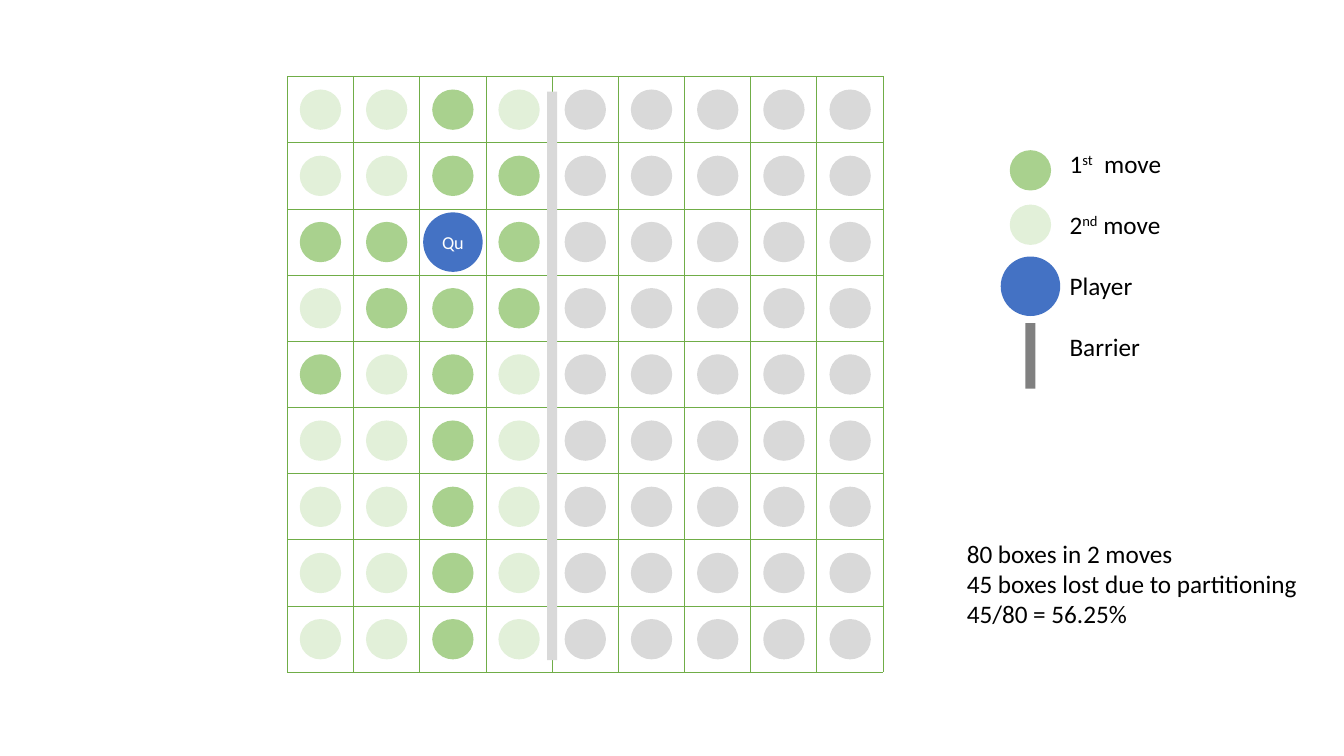
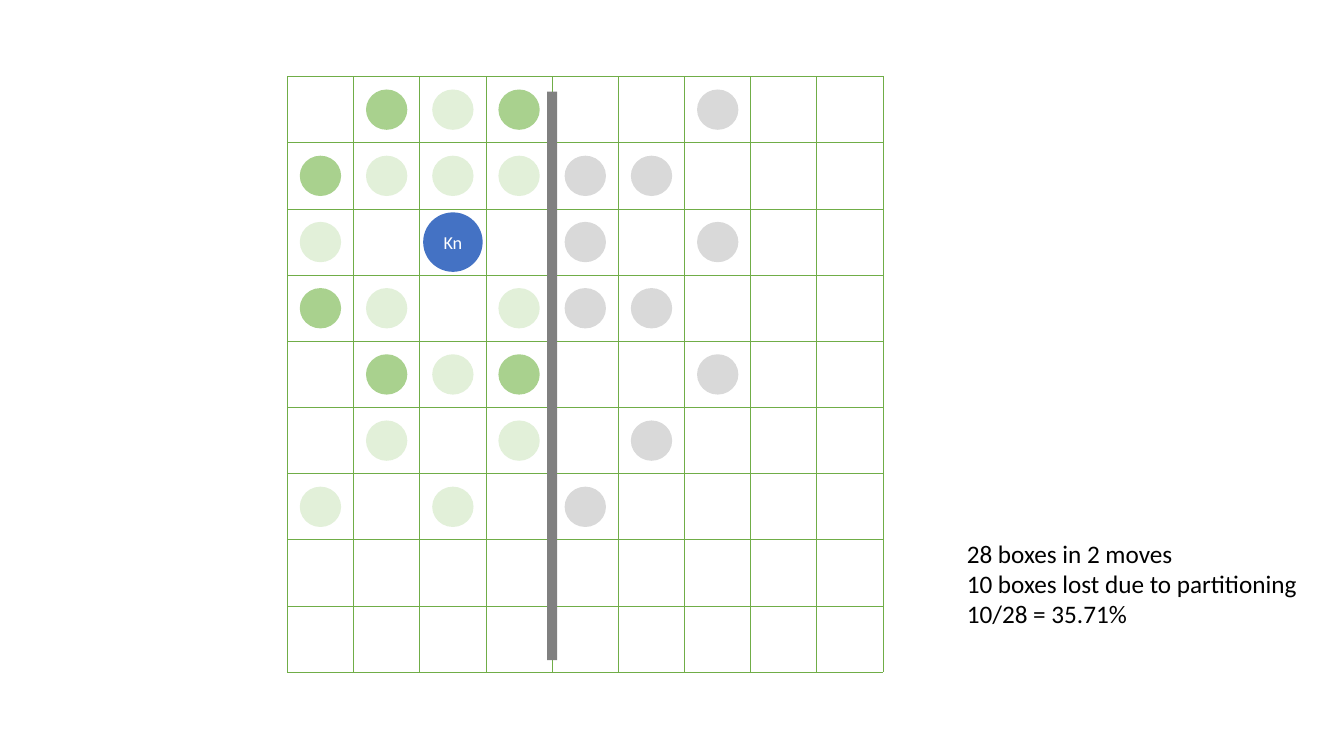
from dataclasses import dataclass
from typing import Optional

from lxml import etree
from pptx import Presentation
from pptx.dml.color import RGBColor
from pptx.enum.shapes import MSO_SHAPE as Preset
from pptx.enum.text import MSO_ANCHOR as Anchor, PP_ALIGN as Align
from pptx.oxml.ns import qn
from pptx.shapes.autoshape import Shape
from pptx.slide import Slide
from pptx.table import _Cell as Cell
from pptx.text.text import _Paragraph as Paragraph
from pptx.util import Inches, Pt

FIRST_MOVE = RGBColor(0xA9, 0xD1, 0x8E)
SECOND_MOVE = RGBColor(0xE2, 0xF0, 0xD9)
LOST = RGBColor(0xD9, 0xD9, 0xD9)
PLAYER = RGBColor(0x44, 0x72, 0xC4)
BARRIER = RGBColor(0x80, 0x80, 0x80)
GRID_LINE = RGBColor(0x70, 0xAD, 0x47)
BLACK = RGBColor(0x00, 0x00, 0x00)
WHITE = RGBColor(0xFF, 0xFF, 0xFF)

FONT = "Calibri"
BOARD_LEFT, BOARD_TOP, BOARD_SIZE = 2.85, 0.76, 5.91
CELL_COUNT = 9
CELL_SIZE = BOARD_SIZE / CELL_COUNT


@dataclass(frozen=True)
class Marker:
    color: RGBColor
    width: float = 0.41
    height: float = 0.4
    preset: Preset = Preset.OVAL


@dataclass(frozen=True)
class LegendEntry:
    marker: Marker
    center_y: float
    label: str
    ordinal: str = ""
    rest: str = ""


@dataclass(frozen=True)
class Board:
    piece: str
    rows: tuple[str, ...]
    barrier_color: RGBColor
    summary: tuple[str, ...]
    legend: tuple[LegendEntry, ...] = ()


MARKERS = {
    "1": Marker(FIRST_MOVE),
    "2": Marker(SECOND_MOVE),
    "x": Marker(LOST),
    "P": Marker(PLAYER, 0.59, 0.59),
}

LEGEND = (
    LegendEntry(MARKERS["1"], 1.69, "1", "st", "  move"),
    LegendEntry(MARKERS["2"], 2.23, "2", "nd", " move"),
    LegendEntry(MARKERS["P"], 2.84, "Player"),
    LegendEntry(Marker(BARRIER, 0.1, 0.65, Preset.RECTANGLE), 3.53, "Barrier"),
)

BOARDS = (
    Board(
        "Qu",
        ("2212xxxxx", "2211xxxxx", "11P1xxxxx", "2111xxxxx", "1212xxxxx")
        + ("2212xxxxx",) * 4,
        LOST,
        ("80 boxes in 2 moves", "45 boxes lost due to partitioning", "45/80 = 56.25%"),
        LEGEND,
    ),
    Board(
        "Kn",
        (".121..x..", "1222xx...", "2.P.x.x..", "12.2xx...", ".121..x..",
         ".2.2.x...", "2.2.x...."),
        BARRIER,
        ("28 boxes in 2 moves", "10 boxes lost due to partitioning", "10/28 = 35.71%"),
    ),
)


def style_paragraph(paragraph: Paragraph, size: float, color: RGBColor) -> None:
    paragraph.font.name = FONT
    paragraph.font.size = Pt(size)
    paragraph.font.color.rgb = color


def add_marker(slide: Slide, marker: Marker, center_x: float, center_y: float,
               text: Optional[str] = None) -> Shape:
    shape = slide.shapes.add_shape(
        marker.preset,
        Inches(center_x - marker.width / 2), Inches(center_y - marker.height / 2),
        Inches(marker.width), Inches(marker.height),
    )
    shape.shadow.inherit = False
    shape.fill.solid()
    shape.fill.fore_color.rgb = marker.color
    shape.line.fill.background()
    if text:
        frame = shape.text_frame
        frame.word_wrap = False
        frame.vertical_anchor = Anchor.MIDDLE
        paragraph = frame.paragraphs[0]
        paragraph.text = text
        paragraph.alignment = Align.CENTER
        style_paragraph(paragraph, 13, WHITE)
    return shape


def outline_cell(cell: Cell) -> None:
    properties = cell._tc.get_or_add_tcPr()
    for side in ("a:lnL", "a:lnR", "a:lnT", "a:lnB"):
        line = etree.SubElement(properties, qn(side), w=str(Pt(0.5)))
        fill = etree.SubElement(line, qn("a:solidFill"))
        etree.SubElement(fill, qn("a:srgbClr"), val=str(GRID_LINE))
    cell.fill.background()


def add_grid(slide: Slide) -> None:
    table = slide.shapes.add_table(
        CELL_COUNT, CELL_COUNT, Inches(BOARD_LEFT), Inches(BOARD_TOP),
        Inches(BOARD_SIZE), Inches(BOARD_SIZE),
    ).table
    table.first_row = False
    table.horz_banding = False
    for cell in table.iter_cells():
        outline_cell(cell)


def add_pieces(slide: Slide, board: Board) -> None:
    for row, symbols in enumerate(board.rows):
        for column, symbol in enumerate(symbols):
            if symbol in MARKERS:
                add_marker(
                    slide, MARKERS[symbol],
                    BOARD_LEFT + (column + 0.5) * CELL_SIZE,
                    BOARD_TOP + (row + 0.5) * CELL_SIZE,
                    board.piece if symbol == "P" else None,
                )


def add_lines(slide: Slide, left: float, top: float, width: float, height: float,
              count: int, gap: float = 0) -> list[Paragraph]:
    frame = slide.shapes.add_textbox(
        Inches(left), Inches(top), Inches(width), Inches(height)
    ).text_frame
    frame.word_wrap = False
    for _ in range(count - 1):
        frame.add_paragraph()
    for paragraph in frame.paragraphs:
        style_paragraph(paragraph, 18, BLACK)
        paragraph.space_after = Pt(gap)
    return list(frame.paragraphs)


def add_legend(slide: Slide, entries: tuple[LegendEntry, ...]) -> None:
    paragraphs = add_lines(slide, 10.51, 1.42, 1.14, 2.22, len(entries), 22)
    for paragraph, entry in zip(paragraphs, entries):
        add_marker(slide, entry.marker, 10.22, entry.center_y)
        paragraph.add_run().text = entry.label
        if entry.ordinal:
            ordinal = paragraph.add_run()
            ordinal.text = entry.ordinal
            ordinal._r.get_or_add_rPr().set("baseline", "30000")
            paragraph.add_run().text = entry.rest


def add_board_slide(presentation: Presentation, board: Board) -> None:
    slide = presentation.slides.add_slide(presentation.slide_layouts[6])
    add_grid(slide)
    add_pieces(slide, board)
    barrier = Marker(board.barrier_color, 0.1, 5.64, Preset.RECTANGLE)
    add_marker(slide, barrier, BOARD_LEFT + 4 * CELL_SIZE, 3.73)
    paragraphs = add_lines(slide, 9.49, 5.29, 3.52, 1.01, len(board.summary))
    for paragraph, line in zip(paragraphs, board.summary):
        paragraph.text = line
    if board.legend:
        add_legend(slide, board.legend)


presentation = Presentation()
presentation.slide_width = Inches(13.33)
presentation.slide_height = Inches(7.5)
for board in BOARDS:
    add_board_slide(presentation, board)
presentation.save("out.pptx")
